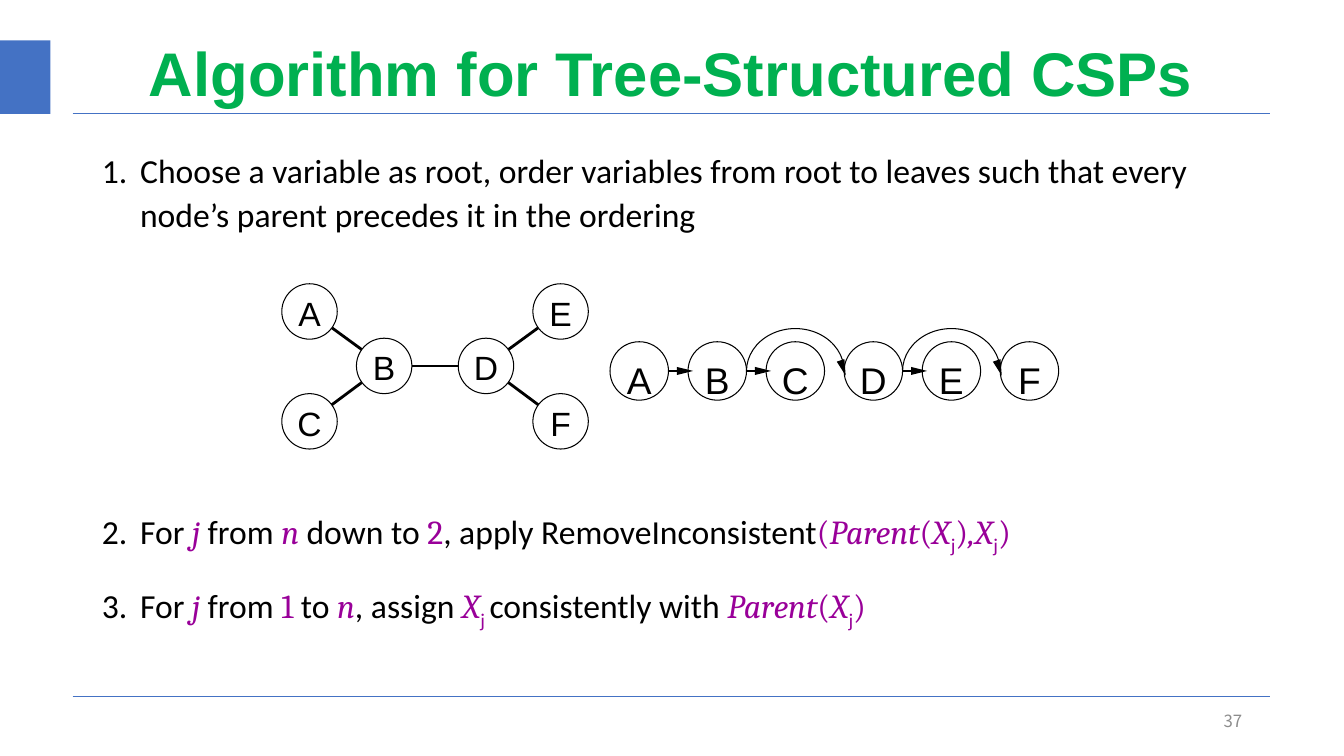
from math import atan2, cos, radians, sin

from lxml.etree import SubElement
from pptx import Presentation
from pptx.dml.color import RGBColor
from pptx.enum.shapes import MSO_CONNECTOR as Connector, MSO_SHAPE as Preset
from pptx.enum.text import MSO_ANCHOR as Anchor, MSO_AUTO_SIZE as AutoSize, PP_ALIGN as Align
from pptx.oxml.ns import qn
from pptx.util import Inches, Pt

COLORS = {"accent": "4472C4", "title": "00B050", "math": "990099",
          "ink": "000000", "paper": "FFFFFF", "number": "8C8C8C"}

TITLE = "Algorithm for Tree-Structured CSPs"
SLIDE_NUMBER = "37"

# Run styles: font, colour, italic, baseline in thousandths of a percent
STYLES = {
    "text": ("Calibri", "ink", False, 0),
    "variable": ("Cambria", "math", True, 0),
    "symbol": ("Cambria", "math", False, 0),
    "index": ("Calibri", "math", False, -25000),
}
PARENT_OF_X = [("variable", "Parent"), ("symbol", "("), ("variable", "X"),
               ("index", "j"), ("symbol", ")")]
ROOT_STEP = [("text", "Choose a variable as root, order variables from root to leaves "
                      "such that every node\u2019s parent precedes it in the ordering")]
REMOVE_STEP = [
    ("text", "For "), ("variable", "j "), ("text", "from "), ("variable", "n "),
    ("text", "down to "), ("symbol", "2"), ("text", ", apply RemoveInconsistent"),
    ("symbol", "("), *PARENT_OF_X, ("variable", ",X"), ("index", "j"), ("symbol", ")"),
]
ASSIGN_STEP = [
    ("text", "For "), ("variable", "j "), ("text", "from "), ("symbol", "1 "),
    ("text", "to "), ("variable", "n"), ("text", ", assign "), ("variable", "X"),
    ("index", "j "), ("text", "consistently with "), *PARENT_OF_X,
]
# Each list: box, first number, steps with the space after them in points
STEP_LISTS = [
    ((0.91, 1.41, 11.51, 0.95), 1, [(ROOT_STEP, 0.2)]),
    ((0.91, 4.98, 11.5, 1.2), 2, [(REMOVE_STEP, 17.8), (ASSIGN_STEP, 0.2)]),
]

# Tree: column and row of each node, and edges with their width in points
TREE_COLUMNS = (3.07, 3.81, 4.82, 5.56)
TREE_ROWS = (3.09, 3.63, 4.18)
TREE_NODES = {"A": (0, 0), "B": (1, 1), "C": (0, 2), "D": (2, 1), "E": (3, 0), "F": (3, 2)}
TREE_EDGES = [("A", "B", 0), ("B", "C", 0), ("B", "D", 1.25), ("D", "E", 0), ("D", "F", 0)]
TREE_DIAMETER = 0.55

# Ordering: evenly spaced nodes in one row
ORDER = "ABCDEF"
ORDER_FIRST, ORDER_LAST, ORDER_Y = 6.34, 10.21, 3.68
ORDER_STEP = (ORDER_LAST - ORDER_FIRST) / (len(ORDER) - 1)
ORDER_DIAMETER = 0.58
STRAIGHT_ARROWS = ["AB", "BC", "DE"]
CURVED_ARROWS = ["BD", "DF"]
ARC_HEIGHT = 0.42
HEAD_LENGTH, HEAD_WIDTH, HEAD_OVERSHOOT = 0.16, 0.08, 0.05


def color(name):
    """Return the named colour."""
    return RGBColor.from_string(COLORS[name])


def apply(target, formats):
    """Set every attribute in formats on target."""
    for name, value in formats.items():
        setattr(target, name, value)


def place(shape, box):
    """Move and size a shape from a box in inches."""
    apply(shape, dict(zip(("left", "top", "width", "height"), map(Inches, box))))


def write(paragraph, text, size, font, color_name, **formats):
    """Add one formatted run and return it."""
    run = paragraph.add_run()
    run.text = text
    apply(run.font, {"size": Pt(size), "name": font, **formats})
    run.font.color.rgb = color(color_name)
    return run


def add_preset(preset, box, fill=None, line=None):
    """Add a preset shape with optional fill and hairline."""
    shape = slide.shapes.add_shape(preset, *map(Inches, box))
    paint(shape, fill, line)
    return shape


def paint(shape, fill=None, line=None):
    """Give a shape a flat fill and a hairline, or neither."""
    shape.shadow.inherit = False
    for part, name in ((shape.fill, fill), (shape.line.fill, line)):
        if name:
            part.solid()
            part.fore_color.rgb = color(name)
        else:
            part.background()
    if line:
        shape.line.width = Pt(0)


def add_line(start, end, color_name="ink", width=0):
    """Join two points with a straight line."""
    line = slide.shapes.add_connector(Connector.STRAIGHT, *map(Inches, (*start, *end)))
    line.line.color.rgb = color(color_name)
    line.line.width = Pt(width)
    SubElement(line._element.spPr, qn("a:effectLst"))


def add_node(label, center, diameter, size, fill=None, drop=0):
    """Draw a lettered circle, its letter lowered by drop inches."""
    x, y = center
    node = add_preset(Preset.OVAL, (x - diameter / 2, y - diameter / 2, diameter, diameter),
                      fill, "ink")
    frame = node.text_frame
    apply(frame, {"margin_left": 0, "margin_right": 0, "margin_top": Inches(2 * drop),
                  "margin_bottom": 0, "word_wrap": False, "vertical_anchor": Anchor.MIDDLE})
    apply(frame.paragraphs[0], {"alignment": Align.CENTER, "line_spacing": 1.07})
    write(frame.paragraphs[0], label, size, "Arial", "ink")


def add_head(end, angle):
    """Draw an arrowhead that points along angle, just past the end point."""
    along, across = (cos(angle), sin(angle)), (-sin(angle), cos(angle))

    def point(forward, side):
        return tuple(Inches(e + forward * a + side * c)
                     for e, a, c in zip(end, along, across))

    base = HEAD_OVERSHOOT - HEAD_LENGTH
    builder = slide.shapes.build_freeform(*point(HEAD_OVERSHOOT, 0))
    builder.add_line_segments([point(base, HEAD_WIDTH / 2), point(base, -HEAD_WIDTH / 2)])
    paint(builder.convert_to_shape(), "ink")


def fill_steps(body, box, first_number, steps):
    """Fill a body placeholder with numbered steps."""
    place(body, box)
    frame = body.text_frame
    apply(frame, {"auto_size": AutoSize.NONE, "vertical_anchor": Anchor.TOP})
    for position, (runs, space_after) in enumerate(steps):
        paragraph = frame.add_paragraph() if position else frame.paragraphs[0]
        apply(paragraph, {"line_spacing": 1.08, "space_before": Pt(0),
                          "space_after": Pt(space_after)})
        properties = paragraph._p.get_or_add_pPr()
        properties.set("marL", str(Inches(0.38)))
        properties.set("indent", str(-Inches(0.38)))
        bullet_color = SubElement(properties, qn("a:buClr"))
        SubElement(bullet_color, qn("a:srgbClr"), val=COLORS["ink"])
        SubElement(properties, qn("a:buFont"), typeface="Calibri")
        SubElement(properties, qn("a:buAutoNum"), type="arabicPeriod",
                   startAt=str(first_number))
        for style, text in runs:
            font, color_name, italic, baseline = STYLES[style]
            run = write(paragraph, text, 24, font, color_name, italic=italic)
            if baseline:
                run._r.get_or_add_rPr().set("baseline", str(baseline))


presentation = Presentation()
apply(presentation, {"slide_width": Inches(13.33), "slide_height": Inches(7.5)})
slide = presentation.slides.add_slide(presentation.slide_layouts.get_by_name("Two Content"))
title, *bodies = slide.placeholders

# Frame, title and slide number
add_preset(Preset.RECTANGLE, (0, 0.4, 0.5, 0.73), "accent")
for rule_y in (1.12, 6.91):
    add_line((0.72, rule_y), (12.6, rule_y), "accent", 0.5)
number_box = slide.shapes.add_textbox(*map(Inches, (9.42, 6.95, 3, 0.4)))
place(title, (0.91, 0.33, 11.5, 0.85))
for shape, text, align, spacing, style, bold in (
        (title, TITLE, Align.CENTER, 0.9, (44, "Arial", "title"), True),
        (number_box, SLIDE_NUMBER, Align.RIGHT, 1.0, (12, "Noto Sans CJK SC", "number"), False)):
    apply(shape.text_frame, {"auto_size": AutoSize.NONE, "word_wrap": True,
                             "vertical_anchor": Anchor.MIDDLE})
    paragraph = shape.text_frame.paragraphs[0]
    apply(paragraph, {"alignment": align, "line_spacing": spacing})
    write(paragraph, text, *style, bold=bold)

for body, step_list in zip(bodies, STEP_LISTS):
    fill_steps(body, *step_list)

# Tree, edges behind nodes
tree = {name: (TREE_COLUMNS[column], TREE_ROWS[row])
        for name, (column, row) in TREE_NODES.items()}
for parent, child, width in TREE_EDGES:
    add_line(tree[parent], tree[child], width=width)
for name, center in tree.items():
    add_node(name, center, TREE_DIAMETER, 24, "paper")

# Ordering with its arrows
order_x = {name: ORDER_FIRST + ORDER_STEP * index for index, name in enumerate(ORDER)}
radius = ORDER_DIAMETER / 2
for name, x in order_x.items():
    add_node(name, (x, ORDER_Y), ORDER_DIAMETER, 26.5, drop=0.07)
for source, target in STRAIGHT_ARROWS + CURVED_ARROWS:
    start, end = order_x[source] + radius, order_x[target] - radius
    if source + target in STRAIGHT_ARROWS:
        add_line((start, ORDER_Y), (end, ORDER_Y))
        add_head((end, ORDER_Y), 0)
    else:
        arc = add_preset(Preset.ARC, (start, ORDER_Y - ARC_HEIGHT, end - start, 2 * ARC_HEIGHT),
                         line="ink")
        arc.adjustments[0], arc.adjustments[1] = 108, 0  # half turn to zero, in 1/60000 degree
        add_head((end, ORDER_Y), atan2(0.15, 0.05))

presentation.save("out.pptx")
